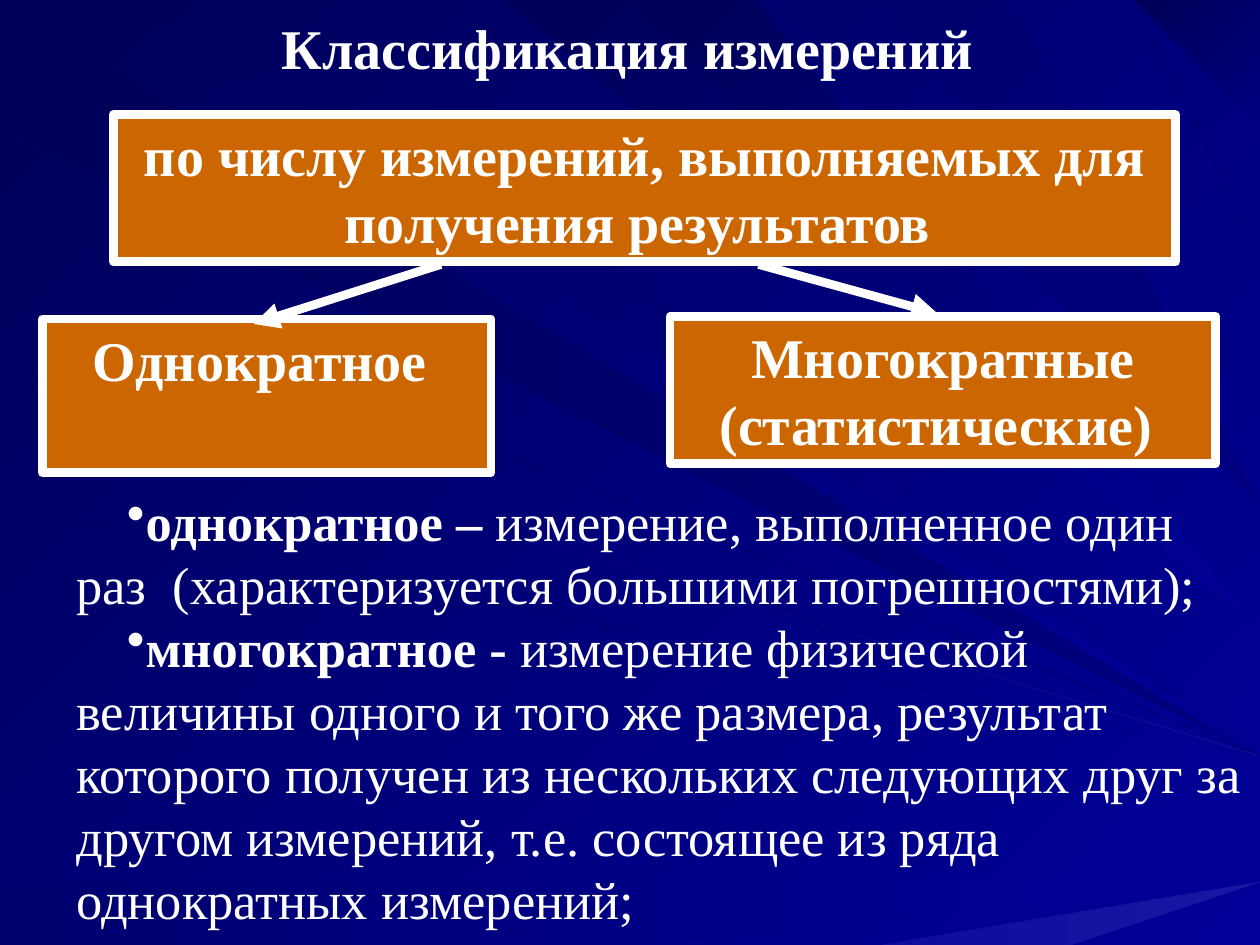
from lxml import etree
from pptx import Presentation
from pptx import util as u
from pptx.dml.color import RGBColor
from pptx.enum import shapes, text
from pptx.oxml.ns import qn

WHITE = RGBColor.from_string("FFFFFF")
ORANGE = RGBColor.from_string("CC6600")
NIGHT = RGBColor.from_string("000058")
DUSK = RGBColor.from_string("00006F")
NAVY = RGBColor.from_string("000080")
BLUE = RGBColor.from_string("000099")
GLOW = RGBColor.from_string("1717A2")
FONT = "Times New Roman"
GRID = u.Cm(2.54)  # one unit of the ray grid
RIGHT, BOTTOM = 10, 7.5  # slide size in grid units

# Rays run from a stretch of one slide edge to a point on the right edge:
# stretch start, stretch end, height of the point, start colour, end colour
LEFT_RAYS = [
    (0.02, 0.93, 5.7, NIGHT, NAVY),
    (5.96, 6.23, 6.32, NIGHT, BLUE),
    (6.65, 7.04, 6.47, NAVY, BLUE),
    (7.35, 7.5, 6.62, DUSK, BLUE),
    (2.58, 2.7, 5.89, NIGHT, BLUE),
    (1.59, 2.28, 5.85, NIGHT, NAVY),
    (2.78, 3.42, 6, NIGHT, BLUE),
    (3.74, 4.37, 6.06, NIGHT, BLUE),
    (5.52, 5.6, 6.22, NAVY, BLUE),
    (2.83, 3.47, 6.04, DUSK, GLOW),
]
TOP_RAYS = [
    (0.26, 1.01, 5.63, NIGHT, BLUE),
    (3.98, 4.16, 5.18, DUSK, BLUE),
    (4.26, 4.92, 4.93, NIGHT, BLUE),
    (5.4, 5.52, 4.63, NIGHT, BLUE),
    (6.06, 6.61, 4.46, DUSK, NAVY),
    (8.87, 9.3, 2.1, NIGHT, NAVY),
    (9.39, 9.64, 1.4, NIGHT, NAVY),
    (2.25, 2.47, 5.5, NIGHT, BLUE),
    (5.77, 5.88, 4.54, NAVY, BLUE),
    (6.86, 7.7, 4.1, DUSK, NAVY),
    (7.85, 7.92, 3.57, NIGHT, BLUE),
    (8.15, 8.24, 3.36, DUSK, BLUE),
    (8.65, 8.72, 2.54, DUSK, BLUE),
]
BOTTOM_RAYS = [(3.64, 7.42, 6.8, BLUE, GLOW)]

# Text and places in cm: left, top, width, height
TITLE = ("Классификация измерений ", (0.69, 0.13, 24.21, 1.63))
KINDS = [
    ("Однократное ", (0.86, 6.43, 9.04, 3.1)),
    ("Многократные (статистические) ", (13.51, 6.38, 11, 2.97)),
]
CRITERION = ("по числу измерений, выполняемых для получения результатов ",
             (2.29, 2.31, 21.41, 2.97))
ARROWS = [(8.89, 5.33, 5.11, 6.53), (15.29, 5.33, 18.9, 6.32)]
BODY_AT = (0.69, 9.73, 24.71, 9.14)
DEFINITIONS = [
    ("однократное – ",
     "измерение, выполненное один раз  (характеризуется большими погрешностями);"),
    ("многократное - ",
     "измерение физической величины одного и того же размера, результат которого "
     "получен из нескольких следующих друг за другом измерений, т.е. состоящее из "
     "ряда однократных измерений;"),
]


def cm(values):
    return [u.Cm(v) for v in values]


def set_gradient(fill, start, end, angle):
    fill.gradient()
    fill.gradient_angle = -angle % 360
    for stop, color in zip(fill.gradient_stops, (start, end)):
        stop.color.rgb = color


def add_rays(s, rays, on_edge, angle):
    for a, b, tip, start, end in rays:
        fb = s.shapes.build_freeform(*on_edge(a), scale=GRID)
        fb.add_line_segments([on_edge(b), (RIGHT, tip)], close=True)
        sp = fb.convert_to_shape()
        sp.shadow.inherit = False
        sp.line.fill.background()
        set_gradient(sp.fill, start, end, angle)


def add_run(p, words, size, bold):
    r = p.add_run()
    r.text = words
    for name, value in dict(name=FONT, size=u.Pt(size), bold=bold).items():
        setattr(r.font, name, value)
    r.font.color.rgb = WHITE


def set_frame(sp, anchor):
    tf = sp.text_frame
    for name, value in dict(word_wrap=True, vertical_anchor=anchor).items():
        setattr(tf, name, value)
    return tf


def add_heading(sp, words, anchor):
    p = set_frame(sp, anchor).paragraphs[0]
    p.alignment = text.PP_ALIGN.CENTER
    add_run(p, words, 32, True)


def add_box(s, words, at):
    sp = s.shapes.add_shape(shapes.MSO_SHAPE.RECTANGLE, *cm(at))
    sp.shadow.inherit = False
    sp.fill.solid()
    sp.fill.fore_color.rgb = ORANGE
    sp.line.color.rgb = WHITE
    sp.line.width = u.Pt(5)
    add_heading(sp, words, text.MSO_ANCHOR.TOP)


prs = Presentation()
prs.slide_width, prs.slide_height = cm((25.4, 19.05))
s = prs.slides.add_slide(prs.slide_layouts[6])

# Background with rays
set_gradient(s.background.fill, NIGHT, BLUE, 45)
add_rays(s, LEFT_RAYS, lambda v: (0, v), 0)
add_rays(s, BOTTOM_RAYS, lambda v: (v, BOTTOM), 0)
add_rays(s, TOP_RAYS, lambda v: (v, 0), 45)

# Title
words, at = TITLE
add_heading(s.shapes.add_textbox(*cm(at)), words, text.MSO_ANCHOR.MIDDLE)

# Scheme: kinds, arrows, criterion
for words, at in KINDS:
    add_box(s, words, at)
for ends in ARROWS:
    c = s.shapes.add_connector(shapes.MSO_CONNECTOR.STRAIGHT, *cm(ends))
    c.line.color.rgb = WHITE
    c.line.width = u.Pt(5)
    spPr = c._element.spPr
    etree.SubElement(spPr.find(qn("a:ln")), qn("a:tailEnd"), type="triangle")
    etree.SubElement(spPr, qn("a:effectLst"))
add_box(s, *CRITERION)

# Definitions
tf = set_frame(s.shapes.add_textbox(*cm(BODY_AT)), text.MSO_ANCHOR.MIDDLE)
for i, (term, meaning) in enumerate(DEFINITIONS):
    p = tf.add_paragraph() if i else tf.paragraphs[0]
    pPr = p._p.get_or_add_pPr()
    pPr.set("marL", str(u.Cm(0.6)))
    pPr.set("indent", str(u.Cm(1.02)))
    etree.SubElement(pPr, qn("a:buChar"), char="•")
    add_run(p, term, 30, True)
    add_run(p, meaning, 30, False)

prs.save("out.pptx")
